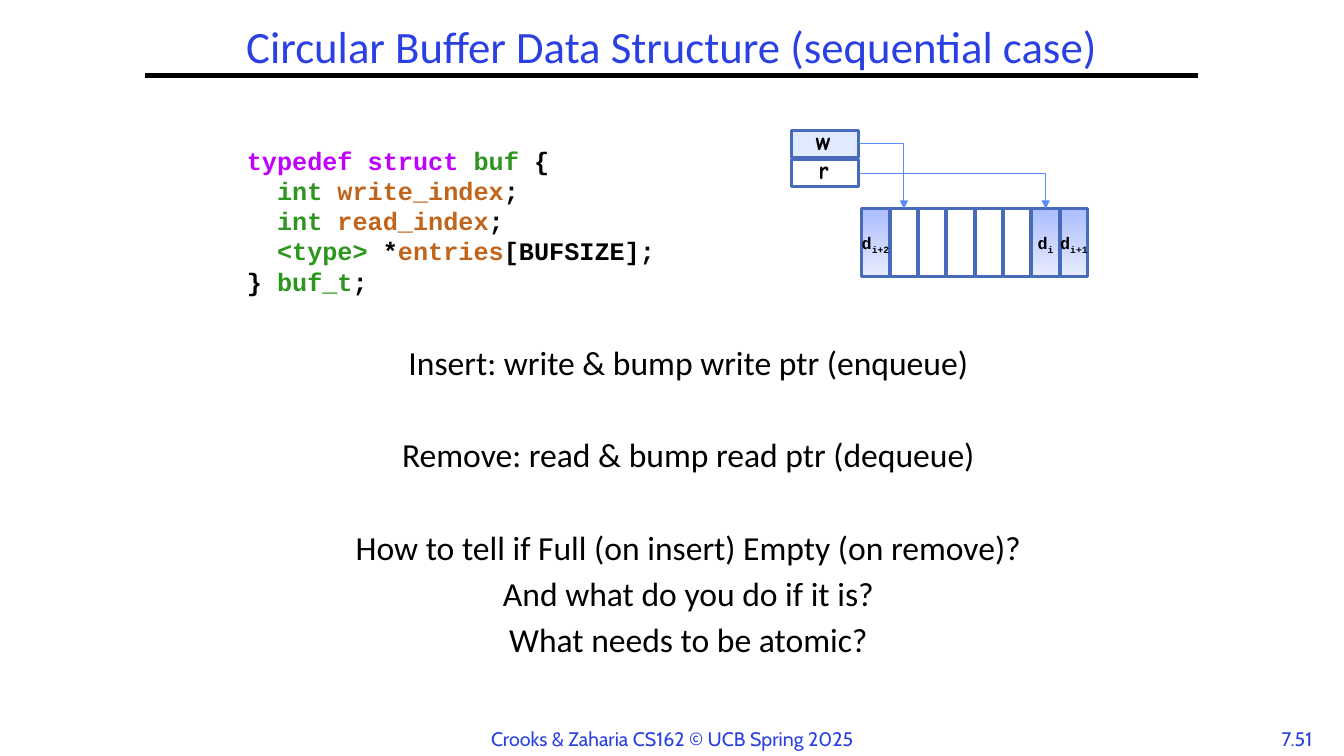
from lxml import etree
from pptx import Presentation
from pptx.dml.color import RGBColor
from pptx.enum.shapes import MSO_CONNECTOR, MSO_SHAPE
from pptx.enum.text import MSO_ANCHOR, PP_ALIGN
from pptx.oxml.ns import qn
from pptx.util import Cm, Pt

RECTANGLE = MSO_SHAPE.RECTANGLE
STRAIGHT, ELBOW = MSO_CONNECTOR.STRAIGHT, MSO_CONNECTOR.ELBOW
LEFT, CENTER = PP_ALIGN.LEFT, PP_ALIGN.CENTER
TOP, MIDDLE = MSO_ANCHOR.TOP, MSO_ANCHOR.MIDDLE
TOP_SIDE, RIGHT_SIDE = 0, 3

BLUE, BLACK = "2A40E2", "000000"
KEYWORD, TYPE, FIELD = "C200FF", "2D961E", "C1651C"
OUTLINE, ARROW, POINTER_FILL = "486ABB", "5B8AFB", "DFE9FF"
USED_CELL_STOPS = ("ACBEFF", "E6EBFF")

TITLE = "Circular Buffer Data Structure (sequential case)"
FOOTER = "Crooks & Zaharia CS162 © UCB Spring 2025"
PAGE = "7.51"

CODE = [
    [("typedef struct ", KEYWORD), ("buf", TYPE), (" {", BLACK)],
    [("  int ", TYPE), ("write_index", FIELD), (";", BLACK)],
    [("  int ", TYPE), ("read_index", FIELD), (";", BLACK)],
    [("  <type>", TYPE), (" *", BLACK), ("entries", FIELD), ("[BUFSIZE];", BLACK)],
    [("} ", BLACK), ("buf_t", TYPE), (";", BLACK)],
]

# Text and the space before it in points
QUESTIONS = [
    ("Insert: write & bump write ptr (enqueue)", 0),
    ("Remove: read & bump read ptr (dequeue)", 40),
    ("How to tell if Full (on insert) Empty (on remove)?", 40),
    ("And what do you do if it is?", 6.9),
    ("What needs to be atomic?", 6.9),
]

# Pointer name, fill, index of the cell it points to
POINTERS = [("w", POINTER_FILL, 1), ("r", None, 6)]
CELL_COUNT = 8
CELL_SUBSCRIPTS = {0: "i+2", 6: "i", 7: "i+1"}

# Lengths in centimetres
CELL_LEFT, CELL_TOP, CELL_WIDTH, CELL_HEIGHT = 21.72, 5.26, 0.69, 1.7
CELL_STEP = 5 / 7
POINTER_LEFT, POINTER_TOP, POINTER_STEP = 19.94, 3.28, 0.74
LABEL_WIDTH, LABEL_HEIGHT = 1.27, 0.76


def rgb(color):
    return RGBColor.from_string(color)


def add_text(slide, text, box, *, font, size, color=BLACK, bold=False, align=LEFT,
             anchor=TOP, wrap=True, line_spacing=None, spaces_before=None):
    """Add a text box; text is a string or a list of paragraphs of (text, color, subscript) runs."""
    paragraphs = [[(text,)]] if isinstance(text, str) else text
    frame = slide.shapes.add_textbox(*map(Cm, box)).text_frame
    frame.word_wrap = wrap
    frame.vertical_anchor = anchor
    for index, runs in enumerate(paragraphs):
        paragraph = frame.add_paragraph() if index else frame.paragraphs[0]
        paragraph.alignment = align
        if line_spacing:
            paragraph.line_spacing = line_spacing
        if spaces_before:
            paragraph.space_before = Pt(spaces_before[index])
        for words, *details in runs:
            run = paragraph.add_run()
            run.text = words
            run.font.name = font
            run.font.size = Pt(size)
            run.font.bold = bold
            run.font.color.rgb = rgb(details[0] if details else color)
            if len(details) > 1 and details[1]:
                run.font._element.set("baseline", "-25000")


def add_box(slide, box, fill=None):
    """Add an outlined rectangle; fill is None, one colour or a pair for a downward gradient."""
    shape = slide.shapes.add_shape(RECTANGLE, *map(Cm, box))
    shape.shadow.inherit = False
    shape.line.color.rgb = rgb(OUTLINE)
    shape.line.width = Pt(2)
    if fill is None:
        shape.fill.background()
    elif isinstance(fill, str):
        shape.fill.solid()
        shape.fill.fore_color.rgb = rgb(fill)
    else:
        shape.fill.gradient()
        shape.fill.gradient_angle = 270
        for stop, color in zip(shape.fill.gradient_stops, fill):
            stop.color.rgb = rgb(color)
    return shape


def add_line(slide, kind, ends, color, width):
    connector = slide.shapes.add_connector(kind, *map(Cm, ends))
    connector.line.color.rgb = rgb(color)
    connector.line.width = Pt(width)
    etree.SubElement(connector._element.spPr, qn("a:effectLst"))
    return connector


def add_pointer_arrow(slide, pointer, cell):
    """Run an arrow right from the pointer and down to the cell."""
    arrow = add_line(slide, ELBOW, (0, 0, 0, 0), ARROW, 0.75)
    arrow.begin_connect(pointer, RIGHT_SIDE)
    arrow.end_connect(cell, TOP_SIDE)
    properties = arrow._element.spPr
    properties.find(qn("a:prstGeom")).set("prst", "bentConnector2")
    etree.SubElement(properties.find(qn("a:ln")), qn("a:tailEnd"), type="triangle")


def add_buffer(slide):
    cells = []
    for index in range(CELL_COUNT):
        left = CELL_LEFT + index * CELL_STEP
        fill = USED_CELL_STOPS if index in CELL_SUBSCRIPTS else None
        cells.append(add_box(slide, (left, CELL_TOP, CELL_WIDTH, CELL_HEIGHT), fill))

    for index, (name, fill, target) in enumerate(POINTERS):
        top = POINTER_TOP + index * POINTER_STEP
        pointer = add_box(slide, (POINTER_LEFT, top, CELL_HEIGHT, CELL_WIDTH), fill)
        add_text(slide, name, (POINTER_LEFT - 0.04, top - 0.25, CELL_HEIGHT, 1.02),
                 font="Comic Neue", size=18, bold=True, align=CENTER, wrap=False)
        add_pointer_arrow(slide, pointer, cells[target])

    for index, subscript in CELL_SUBSCRIPTS.items():
        center = CELL_LEFT + index * CELL_STEP + CELL_WIDTH / 2
        add_text(slide, [[("d", BLACK), (subscript, BLACK, True)]],
                 (center - LABEL_WIDTH / 2, 5.74, LABEL_WIDTH, LABEL_HEIGHT),
                 font="Courier New", size=12, bold=True, align=CENTER, wrap=False)


def main():
    presentation = Presentation()
    presentation.slide_width, presentation.slide_height = Cm(33.87), Cm(19.05)
    slide = presentation.slides.add_slide(presentation.slide_layouts[6])

    add_line(slide, STRAIGHT, (3.66, 1.9, 30.2, 1.9), BLACK, 3)
    add_text(slide, TITLE, (0, 0.53, 33.87, 1.47), font="Calibri", size=32, color=BLUE,
             align=CENTER, anchor=MIDDLE, line_spacing=0.85)
    for text, box in ((FOOTER, (12.07, 18.19, 9.75, 0.86)), (PAGE, (31.95, 18.19, 1.47, 0.84))):
        add_text(slide, text, box, font="Cabin", size=14, color=BLUE, align=CENTER, wrap=False)

    add_text(slide, CODE, (5.97, 3.53, 11.18, 4.11), font="Courier New", size=18, bold=True)
    add_text(slide, [[(text,)] for text, _ in QUESTIONS], (2.11, 8.61, 30.48, 8.53),
             font="Calibri", size=24, align=CENTER, line_spacing=0.9,
             spaces_before=[space for _, space in QUESTIONS])
    add_buffer(slide)
    presentation.save("out.pptx")


if __name__ == "__main__":
    main()
